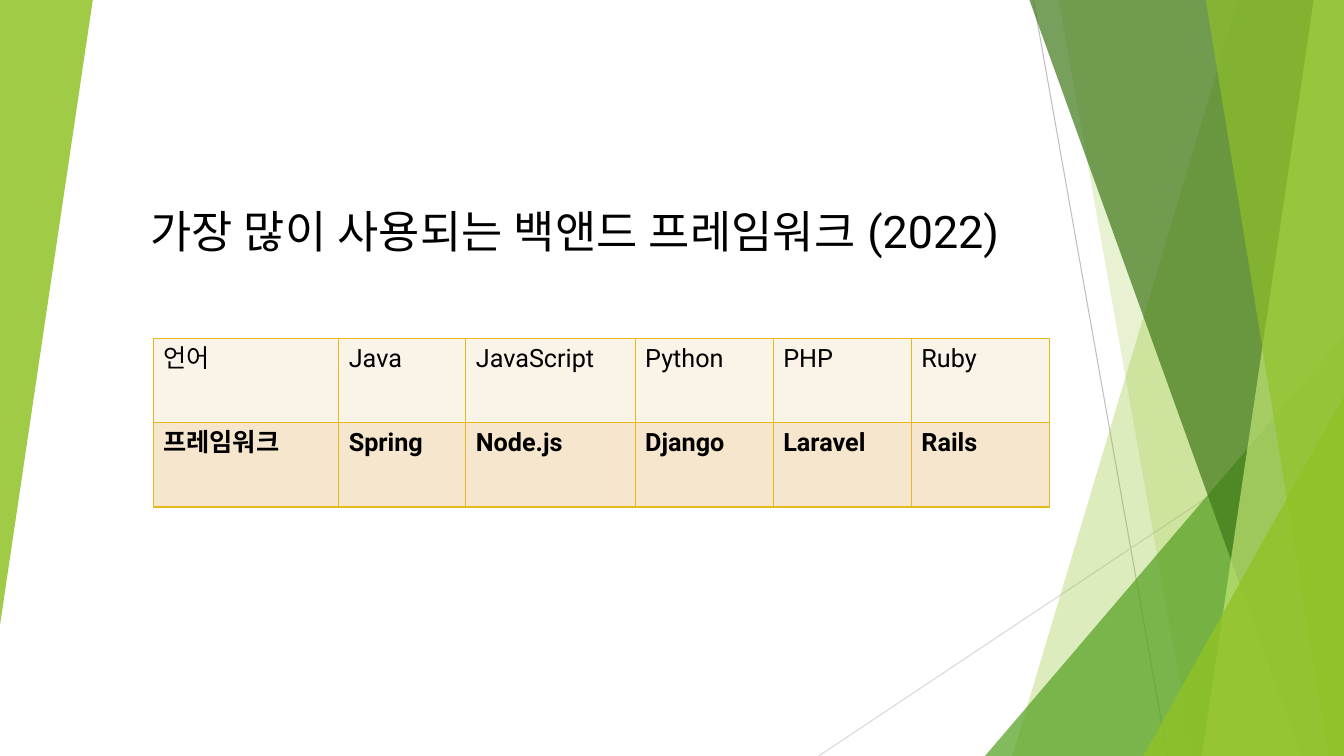
from dataclasses import dataclass

from lxml.etree import SubElement
from pptx import Presentation
from pptx.dml.color import RGBColor
from pptx.enum.shapes import MSO_CONNECTOR as Connector, MSO_SHAPE as Preset
from pptx.enum.text import MSO_ANCHOR as Anchor, MSO_AUTO_SIZE as AutoSize, PP_ALIGN as Align
from pptx.oxml import parse_xml
from pptx.oxml.ns import nsdecls, qn
from pptx.util import Inches, Pt


@dataclass(frozen=True)
class Theme:
    font: str = "Roboto"
    title_size: int = 32
    cell_size: int = 18
    ink: str = "000000"
    lime: str = "90C226"
    pale_lime: str = "C0E474"
    leaf: str = "54A021"
    forest: str = "3F7819"
    steep_line: str = "BFBFBF"
    flat_line: str = "D9D9D9"
    border: str = "E6B91E"
    language_row: str = "FAF3E8"
    framework_row: str = "F5E6CD"


@dataclass(frozen=True)
class Box:
    left: float
    top: float
    width: float
    height: float

    @property
    def right(self):
        return self.left + self.width

    @property
    def bottom(self):
        return self.top + self.height

    def lengths(self):
        return [Inches(side) for side in (self.left, self.top, self.width, self.height)]


THEME = Theme()
PAGE = Box(0, 0, 13.33, 7.5)
FRAMEWORKS = (
    (THEME.language_row, False, ("언어", "Java", "JavaScript", "Python", "PHP", "Ruby")),
    (THEME.framework_row, True, ("프레임워크", "Spring", "Node.js", "Django", "Laravel", "Rails")),
)
COLUMN_WIDTHS = (1.84, 1.26, 1.68, 1.37, 1.37, 1.37)


def rgb(color):
    return RGBColor.from_string(color)


def write(para, text, size, bold=False):
    run = para.add_run()
    run.text = text
    font = run.font
    font.name, font.size, font.bold = THEME.font, Pt(size), bold
    font.color.rgb = rgb(THEME.ink)
    SubElement(font._element, qn("a:ea"), typeface=THEME.font)


def paint(shape, color, opacity):
    shape.shadow.inherit = False
    shape.fill.solid()
    shape.fill.fore_color.rgb = rgb(color)
    shape.line.fill.background()
    color_node = shape.element.spPr.find(qn("a:solidFill"))[0]
    SubElement(color_node, qn("a:alpha"), val=str(opacity * 1000))


def add_hairline(page, start, end, color):
    points = [Inches(value) for value in (*start, *end)]
    line = page.shapes.add_connector(Connector.STRAIGHT, *points)
    line.line.color.rgb = rgb(color)
    line.line.width = Pt(0.75)
    SubElement(line.element.spPr, qn("a:effectLst"))


def add_band(page, box, top_x, bottom_x, color, opacity):
    corners = [
        (Inches(x), Inches(y))
        for x, y in (
            (top_x, box.top),
            (box.right, box.top),
            (box.right, box.bottom),
            (bottom_x, box.bottom),
        )
    ]
    outline = page.shapes.build_freeform(*corners[0])
    outline.add_line_segments(corners[1:], close=True)
    paint(outline.convert_to_shape(), color, opacity)


def add_corner(page, box, color, opacity, rotation=0):
    corner = page.shapes.add_shape(Preset.ISOSCELES_TRIANGLE, *box.lengths())
    corner.adjustments[0] = 1
    corner.rotation = rotation
    paint(corner, color, opacity)


def add_right_corner(page, box, width, height, color, opacity):
    corner = Box(box.right - width, box.bottom - height, width, height)
    add_corner(page, corner, color, opacity)


def add_facets(page, box):
    add_hairline(page, (10.25, box.top), (11.58, box.bottom), THEME.steep_line)
    add_hairline(page, (box.right, 4.03), (8.12, box.bottom), THEME.flat_line)
    add_band(page, box, 12.28, 10.04, THEME.lime, 30)
    add_band(page, box, 10.5, 11.83, THEME.lime, 20)
    add_right_corner(page, box, 3.56, 4.17, THEME.leaf, 72)
    add_band(page, box, 10.21, 12.91, THEME.forest, 70)
    add_band(page, box, 13.03, 11.92, THEME.pale_lime, 70)
    add_band(page, box, 11.96, 13.18, THEME.lime, 65)
    add_right_corner(page, box, 1.99, 3.57, THEME.lime, 80)
    add_corner(page, Box(box.left, box.top, 0.92, 6.2), THEME.lime, 85, rotation=180)


def add_borders(cell):
    properties = cell._tc.get_or_add_tcPr()
    for position, side in enumerate(("lnL", "lnR", "lnT", "lnB")):
        properties.insert(position, parse_xml(
            f'<a:{side} {nsdecls("a")} w="{Pt(1)}"><a:solidFill>'
            f'<a:srgbClr val="{THEME.border}"/></a:solidFill></a:{side}>'
        ))


def add_framework_table(page, box):
    frame = page.shapes.add_table(len(FRAMEWORKS), len(COLUMN_WIDTHS), *box.lengths())
    table = frame.table
    table.first_row = table.horz_banding = False
    for column, width in zip(table.columns, COLUMN_WIDTHS):
        column.width = Inches(width)
    for row, (color, bold, labels) in zip(table.rows, FRAMEWORKS):
        row.height = Inches(box.height / len(FRAMEWORKS))
        for cell, label in zip(row.cells, labels):
            cell.fill.solid()
            cell.fill.fore_color.rgb = rgb(color)
            add_borders(cell)
            write(cell.text_frame.paragraphs[0], label, THEME.cell_size, bold)


def place_title(page, box, text):
    title = page.shapes.title
    title.left, title.top, title.width, title.height = box.lengths()
    frame = title.text_frame
    frame.word_wrap = True
    frame.auto_size = AutoSize.SHAPE_TO_FIT_TEXT
    frame.vertical_anchor = Anchor.TOP
    para = frame.paragraphs[0]
    para.alignment = Align.LEFT
    write(para, text, THEME.title_size)
    title.element.getparent().append(title.element)


def build_framework_page(deck, box):
    page = deck.slides.add_slide(deck.slide_layouts.get_by_name("Title Only"))
    add_facets(page, box)
    add_framework_table(page, Box(box.left + 1.52, box.top + 3.36, sum(COLUMN_WIDTHS), 1.67))
    place_title(
        page,
        Box(box.left + 1.39, box.top + 1.97, 9.16, 0.64),
        "가장 많이 사용되는 백앤드 프레임워크 (2022)",
    )


def main():
    deck = Presentation()
    deck.slide_width, deck.slide_height = Inches(PAGE.width), Inches(PAGE.height)
    build_framework_page(deck, PAGE)
    deck.save("out.pptx")


if __name__ == "__main__":
    main()
